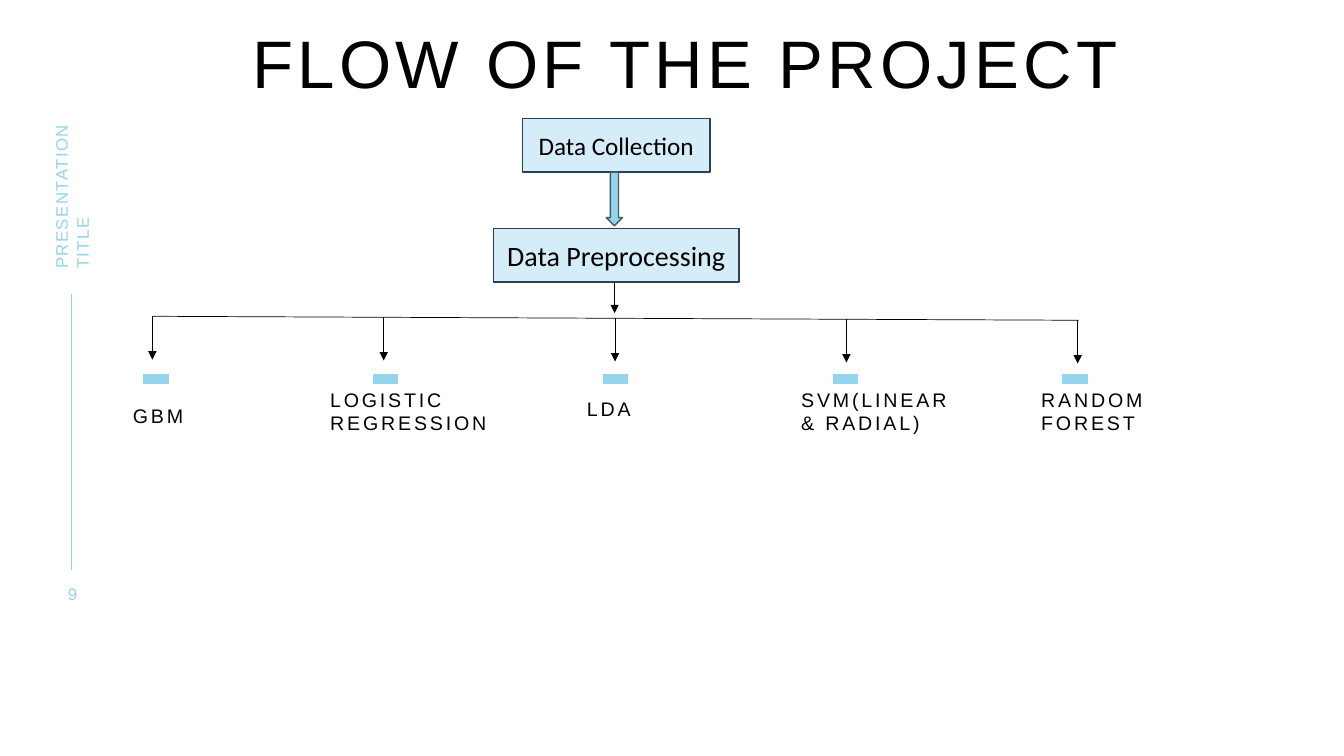
from pptx import Presentation
from pptx.dml.color import RGBColor
from pptx.enum.shapes import MSO_CONNECTOR, MSO_SHAPE
from pptx.enum.text import MSO_ANCHOR, PP_ALIGN
from pptx.oxml.ns import qn
from pptx.util import Cm, Pt
from lxml import etree

BLACK = RGBColor(0x00, 0x00, 0x00)
SKY = RGBColor(0x96, 0xD3, 0xED)
PALE = RGBColor(0xD5, 0xED, 0xF8)
NAVY = RGBColor(0x2E, 0x3E, 0x53)
TEAL = RGBColor(0x42, 0x5C, 0x68)

STRAIGHT = MSO_CONNECTOR.STRAIGHT
RECTANGLE, DOWN_ARROW = MSO_SHAPE.RECTANGLE, MSO_SHAPE.DOWN_ARROW
TOP, MIDDLE, BOTTOM = MSO_ANCHOR.TOP, MSO_ANCHOR.MIDDLE, MSO_ANCHOR.BOTTOM
LEFT, CENTER = PP_ALIGN.LEFT, PP_ALIGN.CENTER

# Label, left offset, width and bottom offset in cm within the model row
MODELS = [
    ("GBM", 0, 3.56, 1.22),
    ("LOGISTIC REGRESSION", 4.97, 4.1, 1.4),
    ("LDA", 11.44, 3.56, 1.04),
    ("SVM(LINEAR & RADIAL)", 16.84, 3.84, 1.4),
    ("RANDOM FOREST", 22.89, 3.56, 1.4),
]


def write(shape, text, size, color=BLACK, font="Arial", spacing=0,
          align=LEFT, anchor=MIDDLE, inset=0):
    """Fill a shape with one formatted paragraph; spacing is in points."""
    tf = shape.text_frame
    tf.text = text
    tf.word_wrap = True
    tf.vertical_anchor = anchor
    tf.margin_left = tf.margin_right = Cm(inset)
    tf.margin_top = tf.margin_bottom = 0
    p = tf.paragraphs[0]
    p.alignment = align
    r = p.runs[0]
    r.font.name, r.font.size = font, Pt(size)
    r.font.color.rgb = color
    if spacing:
        r._r.get_or_add_rPr().set("spc", str(spacing * 100))
    return p


def add_text(s, left, top, width, height, text, size, **style):
    box = s.shapes.add_textbox(Cm(left), Cm(top), Cm(width), Cm(height))
    write(box, text, size, **style)
    return box


def add_line(s, x1, y1, x2, y2, color=BLACK, width=0.5, arrow=False):
    line = s.shapes.add_connector(STRAIGHT, Cm(x1), Cm(y1), Cm(x2), Cm(y2))
    line.line.color.rgb = color
    line.line.width = Pt(width)
    if arrow:
        tail = etree.SubElement(line.line._get_or_add_ln(), qn("a:tailEnd"))
        tail.set("type", "triangle")
    etree.SubElement(line._element.spPr, qn("a:effectLst"))


def add_block(s, kind, left, top, width, height, fill, outline):
    block = s.shapes.add_shape(kind, Cm(left), Cm(top), Cm(width), Cm(height))
    block.shadow.inherit = False
    block.fill.solid()
    block.fill.fore_color.rgb = fill
    block.line.color.rgb = outline
    block.line.width = Pt(1)
    return block


def add_title(s, left, top, width, height):
    title = s.shapes.title
    title.left, title.top = Cm(left), Cm(top)
    title.width, title.height = Cm(width), Cm(height)
    p = write(title, "FLOW OF THE PROJECT", 48, spacing=3,
              align=CENTER, anchor=TOP)
    p.line_spacing = Pt(57.6)


def add_sidebar(s, left, top, height):
    """Rotated footer, rule and page number, centred on the line at left."""
    footer = add_text(s, left - 2.48, top + 2.21, 4.95, 0.53,
                      "PRESENTATION TITLE", 12, color=SKY, spacing=1)
    footer.rotation = 270
    footer.text_frame.paragraphs[0].line_spacing = Pt(15)
    add_line(s, left, top + 5.6, left, top + height - 0.86, SKY, 1)
    add_text(s, left - 0.09, top + height - 0.51, 1.27, 0.51, "9", 12,
             color=SKY, spacing=1)


def add_preparation(s, left, top, width):
    """Two stacked steps joined by a block arrow, then a thin arrow down."""
    step_height, pitch = 1.35, 2.77
    steps = [("Data Collection", 18, 0.74, 4.72),
             ("Data Preprocessing", 20, 0, width)]
    for i, (text, size, indent, step_width) in enumerate(steps):
        step = add_block(s, RECTANGLE, left + indent, top + i * pitch,
                         step_width, step_height, PALE, NAVY)
        write(step, text, size, font="Calibri", align=CENTER, inset=0.25)
    add_block(s, DOWN_ARROW, left + 2.85, top + step_height,
              0.41, 1.35, SKY, TEAL)
    x, bottom = left + 3.06, top + pitch + step_height
    add_line(s, x, bottom, x, bottom + 0.78, arrow=True)


def add_models(s, left, top, width):
    """Bus line with an arrow, a dash and a label for each model."""
    bus_left, bus_top, drop = left + 0.51, top - 1.58, 0.1
    bus_right = left + width - 2.62
    label_height = 2.1
    add_line(s, bus_left, bus_top, bus_right, bus_top + drop)
    last = len(MODELS) - 1
    for i, (text, offset, label_width, bottom) in enumerate(MODELS):
        x = bus_left - 0.02 + i * 5.83
        y = bus_top + i * drop / last
        add_line(s, x, y, x, y + 1.09, arrow=True)
        dash = left + 0.26 + i * 5.79
        add_line(s, dash, top, dash + 0.64, top, SKY, 7)
        add_text(s, left + offset, top + bottom - label_height,
                 label_width, label_height, text, 14, spacing=2,
                 anchor=BOTTOM)


def add_flow_slide(prs):
    s = prs.slides.add_slide(prs.slide_layouts[5])
    add_title(s, 3.36, 0.53, 27.84, 3.48)
    add_sidebar(s, 1.8, 1.82, 13.4)
    add_preparation(s, 12.43, 2.99, 6.2)
    add_models(s, 3.35, 9.55, 26.45)


def main():
    prs = Presentation()
    prs.slide_width, prs.slide_height = Cm(33.87), Cm(19.05)
    add_flow_slide(prs)
    prs.save("out.pptx")


if __name__ == "__main__":
    main()
